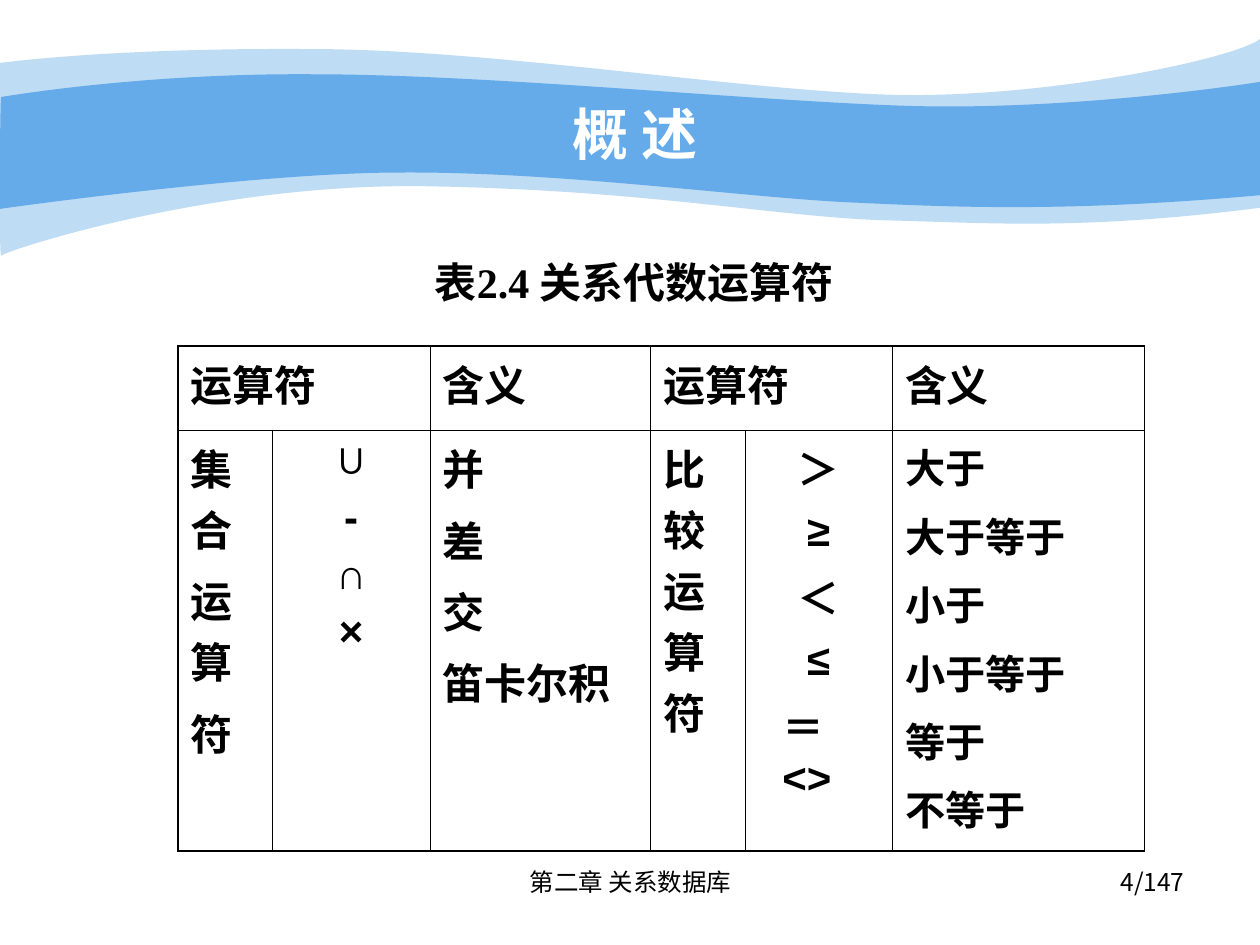
from lxml.etree import SubElement
from pptx import Presentation
from pptx.dml.color import RGBColor
from pptx.enum.text import MSO_ANCHOR, PP_ALIGN
from pptx.oxml.ns import qn
from pptx.util import Cm, Pt

LEFT, CENTER, RIGHT = PP_ALIGN.LEFT, PP_ALIGN.CENTER, PP_ALIGN.RIGHT
TOP, MIDDLE = MSO_ANCHOR.TOP, MSO_ANCHOR.MIDDLE
BLACK, WHITE, BLUE = "000000", "FFFFFF", "65AAE9"
CHINESE_FONT = "Noto Sans CJK SC"
BAND_UNIT = Cm(2.54) / 100
THIN, MEDIUM, THICK = 0.45, 1.08, 1.47

BANDS = [
    {"opacity": 41, "start": (0, 50), "parts": [
        [(24, 47), (107, 38), (247, 39)],
        [(386, 39), (575, 70), (699, 75)],
        [(822, 80), (980, 47), (1000, 31)],
        [(1000, 165)],
        [(858, 183), (787, 177), (705, 175)],
        [(622, 173), (515, 151), (343, 148)],
        [(172, 144), (4, 199), (1, 203)],
        [(-1, 208), (0, 75), (0, 50)]]},
    {"opacity": 100, "start": (1, 77), "parts": [
        [(2, 77), (110, 58), (248, 59)],
        [(386, 59), (595, 80), (718, 84)],
        [(841, 88), (976, 69), (1000, 65)],
        [(1000, 155)],
        [(853, 168), (765, 165), (682, 161)],
        [(599, 158), (447, 136), (317, 137)],
        [(203, 137), (-2, 166), (-1, 166)],
        [(0, 166), (0, 77), (1, 77)]]},
]

TITLE = "概 述"
TITLE_PLACE = (2.54, 1.9, 20.52, 1.57)
LABELS = [
    ("表2.4 关系代数运算符", (4, 4.72, 17.58, 1.9),
     {"size": 24, "font": "Times New Roman", "bold": True, "align": CENTER}, MIDDLE),
    ("第二章 关系数据库", (8.69, 17.35, 8.05, 1.32), {"size": 14, "align": CENTER}, TOP),
    ("4/147", (18.21, 17.35, 5.92, 1.32),
     {"size": 14, "font": CHINESE_FONT, "align": RIGHT}, TOP),
]

TABLE_LEFT, TABLE_TOP = 3.59, 6.98
HEADER = {"height": 1.7, "top_line": THICK, "columns": [
    (5.08, ["运算符"], {}),
    (4.45, ["含义"], {}),
    (4.87, ["运算符"], {}),
    (5.08, ["含义"], {}),
]}
OPERATORS = {"height": 8.47, "top_line": MEDIUM, "columns": [
    (1.9, ["集合", "运算", "符"], {}),
    (3.18, ["∪", "-", "∩", "×"], {"align": CENTER}),
    (4.45, ["并", "差", "交", "笛卡尔积"], {}),
    (1.9, ["比较运算符"], {}),
    (2.97, ["＞", "≥", "＜", "≤", "＝\n<>"], {"align": CENTER}),
    (5.08, ["大于", "大于等于", "小于", "小于等于", "等于", "不等于"], {"size": 23}),
]}
BROKEN_LINE_INDENT = 0.5


def color(value):
    """Turn a hex string into a colour."""
    return RGBColor.from_string(value)


def write(para, text, size=24, font="Arial", ink=BLACK, bold=False, align=LEFT, before=0):
    """Write one formatted paragraph, breaking lines at newlines."""
    para.alignment = align
    para.space_before = Pt(before)
    for number, line in enumerate(text.split("\n")):
        if number:
            para.add_line_break()
        span = para.add_run()
        span.text = line
        span.font.size = Pt(size)
        span.font.name = font
        span.font.bold = bold
        span.font.color.rgb = color(ink)
        SubElement(span.font._element, qn("a:ea"), typeface=CHINESE_FONT)


def add_band(page, start, parts, opacity):
    """Draw one wavy band across the page with cubic curves."""
    builder = page.shapes.build_freeform(*start, scale=BAND_UNIT)
    builder.add_line_segments([point for part in parts for point in part], close=True)
    band = builder.convert_to_shape()
    segments = iter(list(band.element.iter(qn("a:lnTo"))))
    for part in parts:
        first, *others = [next(segments) for _ in part]
        if others:
            first.tag = qn("a:cubicBezTo")
        for segment in others:
            first.append(segment[0])
            segment.getparent().remove(segment)
    band.shadow.inherit = False
    band.line.fill.background()
    band.fill.solid()
    band.fill.fore_color.rgb = color(BLUE)
    if opacity < 100:
        tint = next(band.element.iter(qn("a:srgbClr")))
        SubElement(tint, qn("a:alpha"), val=str(opacity * 1000))


def add_label(page, text, place, style, anchor):
    """Add a text box with one line of text."""
    frame = page.shapes.add_textbox(*map(Cm, place)).text_frame
    frame.word_wrap = True
    frame.vertical_anchor = anchor
    write(frame.paragraphs[0], text, **style)


def set_borders(cell, widths):
    """Give a cell its left, right, top and bottom lines."""
    properties = cell._tc.get_or_add_tcPr()
    for position, (side, width) in enumerate(zip("LRTB", widths)):
        line = SubElement(properties, qn(f"a:ln{side}"), w=str(Pt(width)))
        SubElement(SubElement(line, qn("a:solidFill")), qn("a:srgbClr"), val=BLACK)
        properties.insert(position, line)


def add_grid(page, top, height, top_line, columns):
    """Add a table with a single row."""
    widths = [Cm(column[0]) for column in columns]
    table = page.shapes.add_table(
        1, len(columns), Cm(TABLE_LEFT), Cm(top), sum(widths), Cm(height)).table
    table.first_row = table.horz_banding = False
    last = len(columns) - 1
    for index, (_, lines, style) in enumerate(columns):
        table.columns[index].width = widths[index]
        cell = table.cell(0, index)
        cell.fill.background()
        set_borders(cell, (THIN if index else MEDIUM, MEDIUM if index == last else THIN,
                           top_line, MEDIUM))
        frame = cell.text_frame
        for number, text in enumerate(lines):
            para = frame.add_paragraph() if number else frame.paragraphs[0]
            layout = {"bold": True, **style}
            if number:
                layout["before"] = style.get("size", 24) / 4
            if "\n" in text:
                layout["align"] = LEFT
                para._p.get_or_add_pPr().set("marL", str(Cm(BROKEN_LINE_INDENT)))
            write(para, text, **layout)


def main():
    """Build and save the slide."""
    deck = Presentation()
    deck.slide_width, deck.slide_height = Cm(25.4), Cm(19.05)
    page = deck.slides.add_slide(deck.slide_layouts[5])
    for band in BANDS:
        add_band(page, **band)
    for label in LABELS:
        add_label(page, *label)
    add_grid(page, TABLE_TOP + HEADER["height"], **OPERATORS)
    add_grid(page, TABLE_TOP, **HEADER)

    title = page.shapes.title
    title.left, title.top, title.width, title.height = map(Cm, TITLE_PLACE)
    title.text_frame.vertical_anchor = MIDDLE
    write(title.text_frame.paragraphs[0], TITLE, size=32, ink=WHITE, bold=True, align=CENTER)
    title.element.getparent().append(title.element)
    deck.save("out.pptx")


if __name__ == "__main__":
    main()
